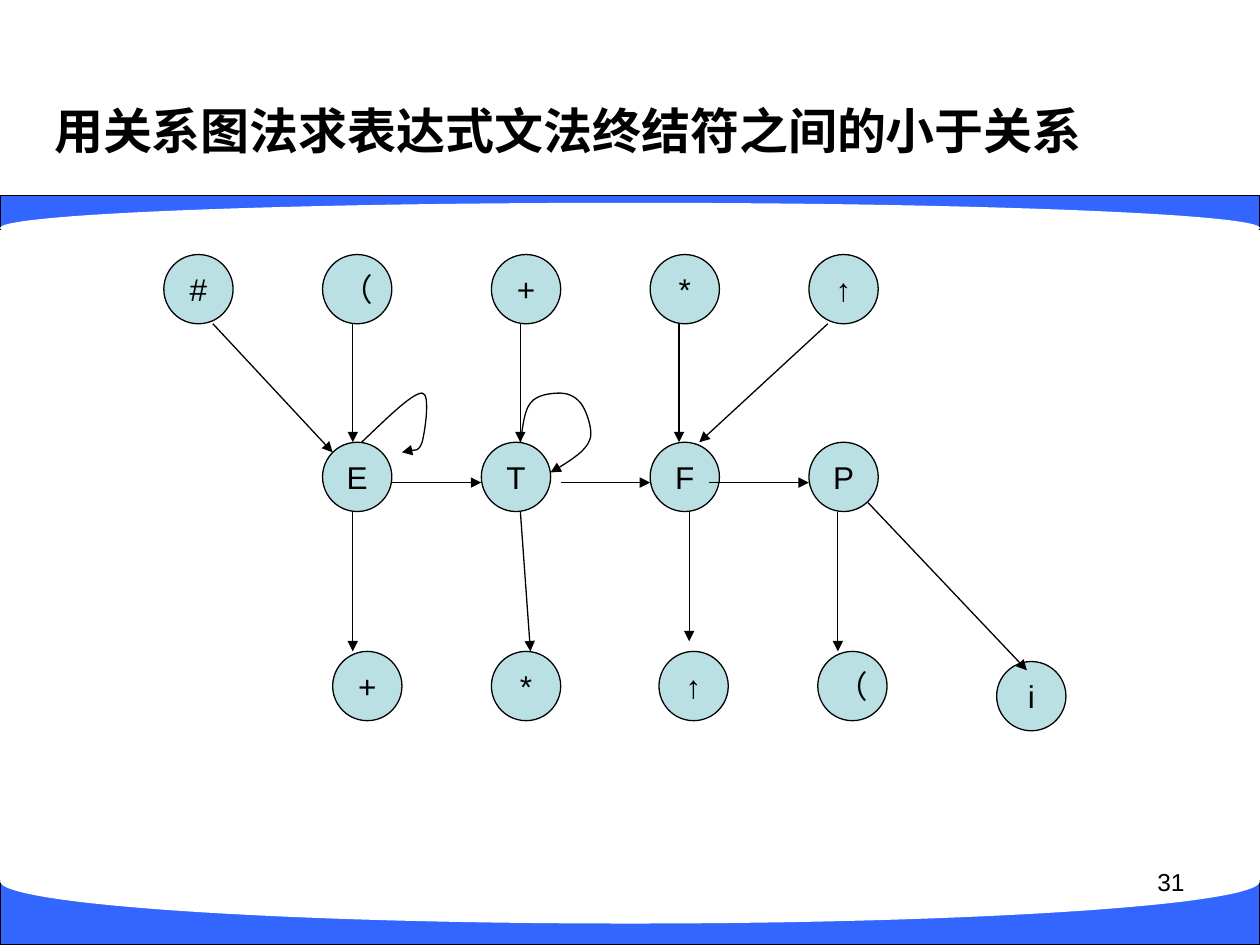
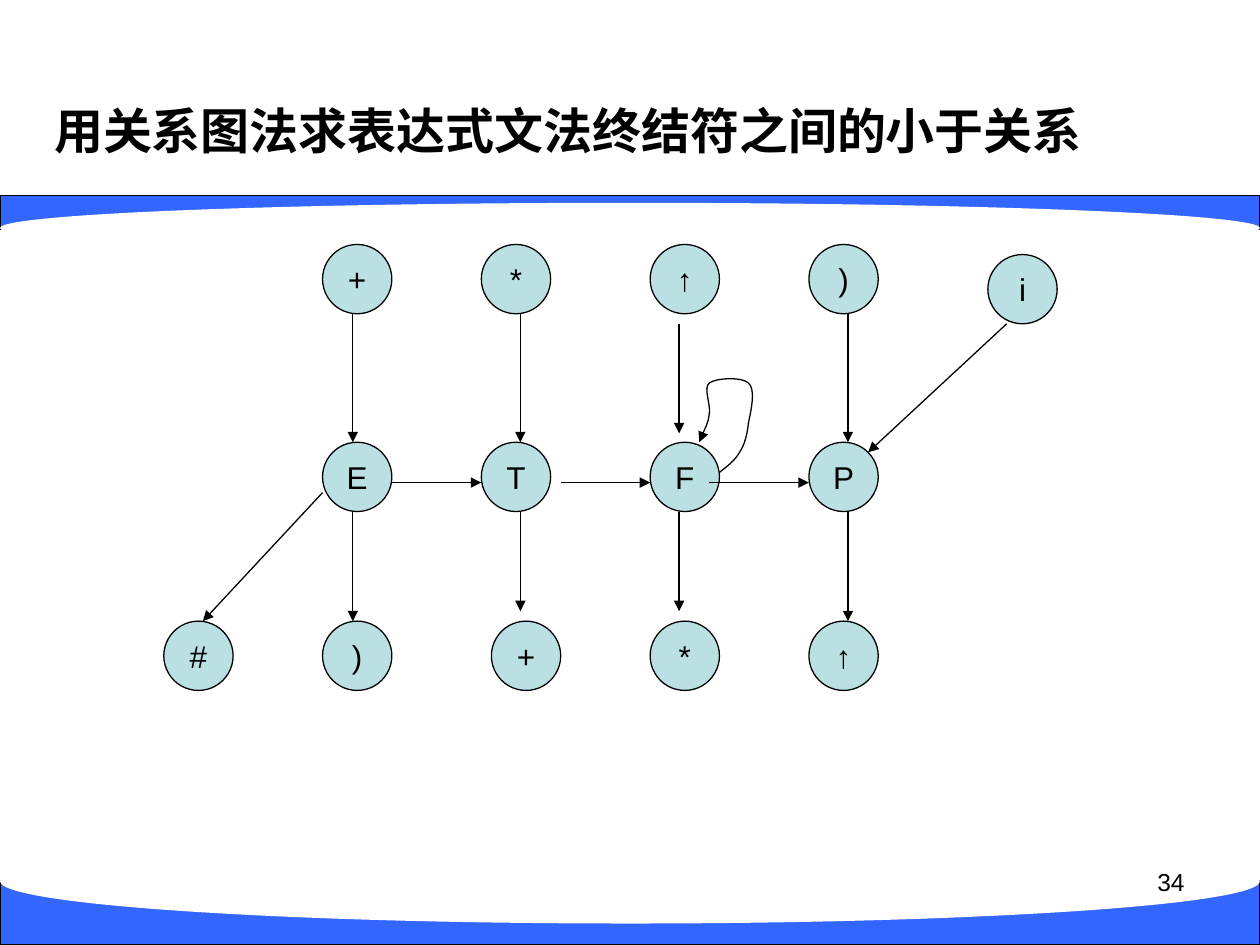
import pptx
import pptx.dml.color
import pptx.enum.shapes
import pptx.enum.text
import pptx.oxml
import pptx.oxml.ns
import pptx.util
from lxml import etree

Inches = pptx.util.Inches
Pt = pptx.util.Pt
qn = pptx.oxml.ns.qn
MSO_SHAPE = pptx.enum.shapes.MSO_SHAPE
MSO_ANCHOR = pptx.enum.text.MSO_ANCHOR
MSO_AUTO_SIZE = pptx.enum.text.MSO_AUTO_SIZE
PP_ALIGN = pptx.enum.text.PP_ALIGN

COLORS = {"band": "3366FF", "paper": "FFFFFF", "node": "BBE0E3", "ink": "000000"}
FONT = "Arial"
TITLE = "用关系图法求表达式文法终结符之间的小于关系"
TITLE_BOX = (0.33, 0.67, 9.34, 0.72)
NUMBER_BOX = (7.17, 6.83, 2.33, 0.52)
TOP_BAND = ((0, 1.55, 10, 0.27), (0, 1.61, 10, 0.4))
BOTTOM_BAND = ((0, 6.99, 10, 0.51), (0, 6.66, 10, 0.67))
DIAGRAM_BOX = (1.3, 1.94, 7.16, 3.86)
NODE_SIZE = 0.55

CORE_TOP = 1.57
CORE_BOTTOM = CORE_TOP + NODE_SIZE
CORE_LEFTS = (1.26, 2.52, 3.86, 5.12)
WIDE_LEFTS = (0, 1.26, 2.6, 3.86, 5.12)
CHAIN_Y = 1.89
CORE_ROW = (CORE_TOP, CORE_LEFTS, "ETFP")
CHAIN = [(x1, CHAIN_Y, x2, CHAIN_Y) for x1, x2 in ((1.81, 2.52), (3.15, 3.86), (4.33, 5.12))]

LESS_FIRST = {
    "number": "31",
    "rows": [
        CORE_ROW,
        (3.23, (1.34, 2.6, 3.93, 5.19), "+*↑（"),
        (0.08, WIDE_LEFTS, "#（+*↑"),
        (3.31, (6.61,), "i"),
    ],
    "arrows": CHAIN + [(x, 0.63, x, CORE_TOP) for x in (1.5, 2.83, 4.09)] + [
        (0.39, 0.63, 1.34, 1.65),
        (5.27, 0.63, 4.25, CORE_TOP),
        (1.5, CORE_BOTTOM, 1.5, 3.23),
        (2.83, CORE_BOTTOM, 2.91, 3.23),
        (4.17, CORE_BOTTOM, 4.17, 3.15),
        (5.35, CORE_BOTTOM, 5.35, 3.23),
        (5.59, 2.05, 6.85, 3.38),
    ],
    "loops": [
        [(1.57, 1.57),
         (1.77, 1.38), (1.97, 1.18), (2.05, 1.18),
         (2.12, 1.18), (2.07, 1.5), (2.05, 1.57),
         (2.02, 1.65), (1.93, 1.63), (1.89, 1.65)],
        [(2.83, 1.57),
         (2.85, 1.45), (2.86, 1.32), (2.91, 1.26),
         (2.96, 1.19), (3.08, 1.18), (3.15, 1.18),
         (3.21, 1.18), (3.27, 1.21), (3.31, 1.26),
         (3.35, 1.31), (3.39, 1.43), (3.39, 1.5),
         (3.39, 1.56), (3.36, 1.6), (3.31, 1.65),
         (3.25, 1.7), (3.16, 1.76), (3.07, 1.81)],
    ],
}

LESS_LAST = {
    "number": "34",
    "rows": [
        CORE_ROW,
        (2.99, WIDE_LEFTS, "#)+*↑"),
        (0, CORE_LEFTS, "+*↑)"),
        (0.08, (6.54,), "i"),
    ],
    "arrows": CHAIN + [(x, NODE_SIZE, x, CORE_TOP) for x in (1.5, 2.83, 5.43)] + [
        (4.09, 0.63, 4.09, 1.5),
        (6.69, 0.63, 5.59, 1.65),
        (1.26, 1.97, 0.31, 2.99),
    ] + [(x, CORE_BOTTOM, x, y) for x, y in ((1.5, 2.99), (2.83, 2.91), (4.09, 2.91), (5.43, 2.99))],
    "loops": [
        [(4.41, 1.81),
         (4.47, 1.76), (4.53, 1.72), (4.57, 1.65),
         (4.61, 1.59), (4.63, 1.51), (4.64, 1.42),
         (4.66, 1.32), (4.7, 1.15), (4.64, 1.1),
         (4.59, 1.05), (4.38, 1.06), (4.33, 1.1),
         (4.28, 1.14), (4.34, 1.26), (4.33, 1.34),
         (4.32, 1.42), (4.28, 1.49), (4.25, 1.57)],
    ],
}


def rgb(name):
    return pptx.dml.color.RGBColor.from_string(COLORS[name])


def emu(box):
    return [Inches(v) for v in box]


def style_line(line):
    line.color.rgb = rgb("ink")
    line.width = Pt(0.75)


def add_arrowhead(sp):
    ln = sp._element.spPr.find(qn("a:ln"))
    etree.SubElement(ln, qn("a:tailEnd"), type="triangle")


def write(tf, text, size, align, bold=False):
    tf.text = text
    p = tf.paragraphs[0]
    p.alignment = align
    p.font.name = FONT
    p.font.size = Pt(size)
    p.font.bold = bold
    p.font.color.rgb = rgb("ink")


def add_filled(shapes, kind, box, color, outlined=True):
    sp = shapes.add_shape(kind, *emu(box))
    sp.shadow.inherit = False
    sp.fill.solid()
    sp.fill.fore_color.rgb = rgb(color)
    if outlined:
        style_line(sp.line)
    else:
        sp.line.fill.background()
    return sp


def add_band(s, bar, curve):
    group = s.shapes.add_group_shape()
    add_filled(group.shapes, MSO_SHAPE.RECTANGLE, bar, "band")
    add_filled(group.shapes, MSO_SHAPE.OVAL, curve, "paper", outlined=False)


def add_title(s, box):
    sp = s.shapes.title
    sp.left, sp.top, sp.width, sp.height = emu(box)
    tf = sp.text_frame
    tf.vertical_anchor = MSO_ANCHOR.MIDDLE
    tf.auto_size = MSO_AUTO_SIZE.NONE
    write(tf, TITLE, 28, PP_ALIGN.LEFT, bold=True)


def add_number(s, box, number):
    tf = s.shapes.add_textbox(*emu(box)).text_frame
    tf.word_wrap = True
    write(tf, number, 14, PP_ALIGN.RIGHT)


def add_node(s, left, top, label):
    sp = add_filled(s.shapes, MSO_SHAPE.OVAL, (left, top, NODE_SIZE, NODE_SIZE), "node")
    tf = sp.text_frame
    tf.word_wrap = False
    tf.vertical_anchor = MSO_ANCHOR.MIDDLE
    write(tf, label, 18, PP_ALIGN.CENTER)


def add_arrow(s, x1, y1, x2, y2):
    cx = s.shapes.add_connector(pptx.enum.shapes.MSO_CONNECTOR.STRAIGHT, *emu((x1, y1, x2, y2)))
    style_line(cx.line)
    add_arrowhead(cx)
    etree.SubElement(cx._element.spPr, qn("a:effectLst"))


def add_loop(s, points):
    start, *rest = [emu(point) for point in points]
    builder = s.shapes.build_freeform(*start)
    builder.add_line_segments(rest, close=False)
    sp = builder.convert_to_shape()
    outline = sp._element.spPr.find(".//" + qn("a:path"))
    segments = outline.findall(qn("a:lnTo"))
    for i in range(0, len(segments), 3):
        curve = etree.SubElement(outline, qn("a:cubicBezTo"))
        for segment in segments[i:i + 3]:
            curve.append(segment[0])
            outline.remove(segment)
    sp.shadow.inherit = False
    sp.fill.background()
    style_line(sp.line)
    add_arrowhead(sp)


def add_diagram(s, box, graph):
    left, top = box[:2]
    for row_top, lefts, labels in graph["rows"]:
        for x, label in zip(lefts, labels):
            add_node(s, left + x, top + row_top, label)
    for x1, y1, x2, y2 in graph["arrows"]:
        add_arrow(s, left + x1, top + y1, left + x2, top + y2)
    for loop in graph["loops"]:
        add_loop(s, [(left + x, top + y) for x, y in loop])


def add_graph_slide(prs, graph):
    s = prs.slides.add_slide(prs.slide_layouts[5])
    add_band(s, *TOP_BAND)
    add_band(s, *BOTTOM_BAND)
    add_title(s, TITLE_BOX)
    add_number(s, NUMBER_BOX, graph["number"])
    add_diagram(s, DIAGRAM_BOX, graph)


def main():
    prs = pptx.Presentation()
    prs.slide_width, prs.slide_height = Inches(10), Inches(7.5)
    for graph in (LESS_FIRST, LESS_LAST):
        add_graph_slide(prs, graph)
    prs.save("out.pptx")


if __name__ == "__main__":
    main()
